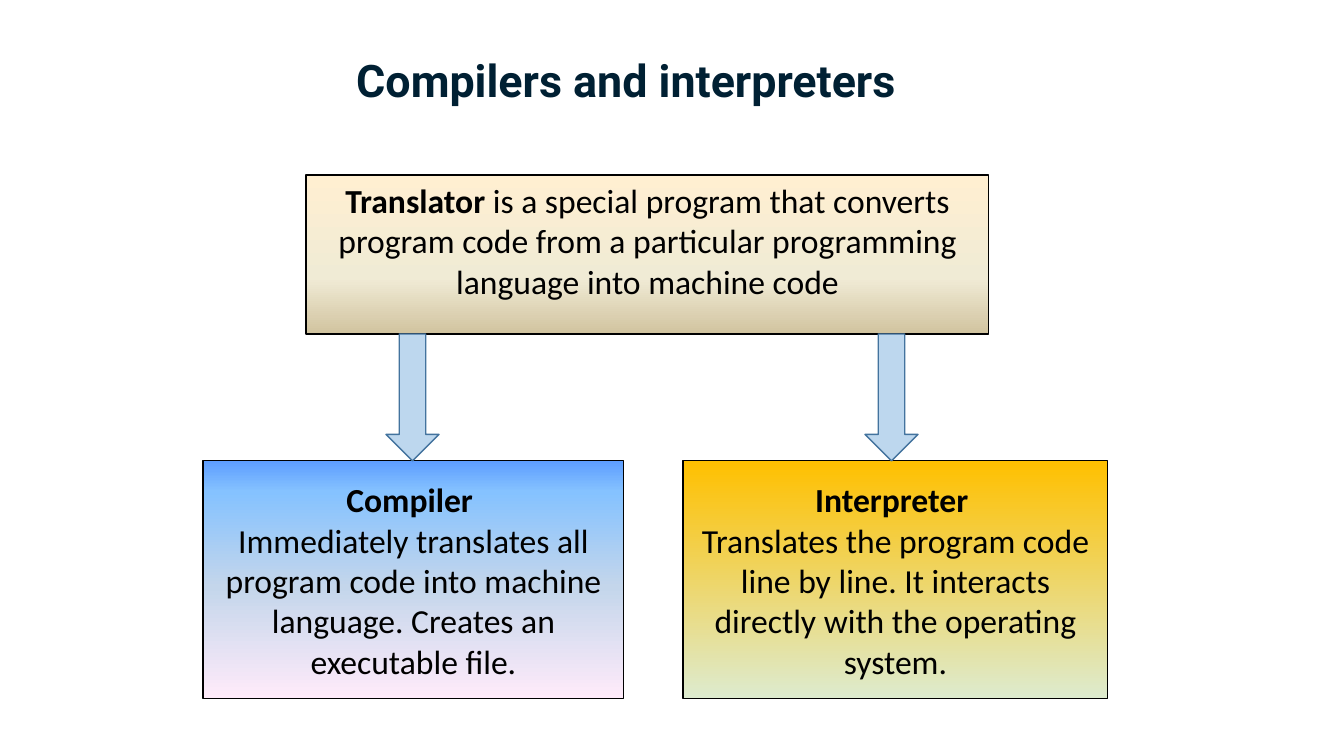
"""Builds the slide on compilers and interpreters."""
from lxml.etree import SubElement
from pptx import Presentation
from pptx.dml.color import RGBColor
from pptx.enum.shapes import MSO_SHAPE
from pptx.enum.text import MSO_ANCHOR, MSO_AUTO_SIZE, PP_ALIGN
from pptx.oxml.ns import qn
from pptx.util import Pt

PX = 914400 / 100.8
COLORS = {"title": "002033", "text": "000000", "border": "000000",
          "arrow": "BDD7EE", "arrow_line": "43739E"}
TITLE = "Compilers and interpreters"
TITLE_BOX = (346, 48, 644, 65)
CARDS = [
    {"box": (306, 175, 683, 159), "anchor": MSO_ANCHOR.TOP, "angle": 270,
     "stops": [(0, "FFEFD1"), (65, "F0EBD5"), (100, "D1C39F")],
     "text": [[("Translator", True),
               (" is a special program that converts program code from a "
                "particular programming language into machine code", False)]]},
    {"box": (203, 461, 421, 238), "anchor": MSO_ANCHOR.MIDDLE, "angle": 270,
     "stops": [(0, "5E9EFF"), (13, "85C2FF"), (53, "C4D6EB"), (100, "FFEBFA")],
     "text": [[("Compiler ", True)],
              [("Immediately translates all program code into machine "
                "language. Creates an executable file.", False)]]},
    {"box": (683, 461, 425, 238), "anchor": MSO_ANCHOR.MIDDLE, "angle": 90,
     "stops": [(0, "DDEBCF"), (100, "FFC000"), (100, "156B13")],
     "text": [[("Interpreter ", True)],
              [("Translates the program code line by line. It interacts "
                "directly with the operating system.", False)]]},
]
ARROW_LEFTS = (386, 865)
ARROW_WIDTH = 53


def rgb(name):
    return RGBColor.from_string(COLORS[name])


def emu(box):
    return [round(v * PX) for v in box]


def write(tf, paragraphs, *, font="Calibri", size=24, color="text",
          align=PP_ALIGN.CENTER, anchor=MSO_ANCHOR.TOP):
    tf.word_wrap = True
    tf.auto_size = MSO_AUTO_SIZE.NONE
    tf.vertical_anchor = anchor
    for i, runs in enumerate(paragraphs):
        p = tf.add_paragraph() if i else tf.paragraphs[0]
        p.alignment = align
        for text, bold in runs:
            r = p.add_run()
            r.text = text
            r.font.name, r.font.size, r.font.bold = font, Pt(size), bold
            r.font.color.rgb = rgb(color)


def add_shape(s, kind, box, line, width):
    sp = s.shapes.add_shape(kind, *emu(box))
    sp.shadow.inherit = False
    sp.line.color.rgb = rgb(line)
    sp.line.width = Pt(width)
    return sp


def fill_gradient(sp, stops, angle):
    sp.fill.gradient()
    sp.fill.gradient_angle = angle
    stop_list = sp.element.spPr.find(qn("a:gradFill")).find(qn("a:gsLst"))
    for old in list(stop_list):
        stop_list.remove(old)
    for percent, color in stops:
        stop = SubElement(stop_list, qn("a:gs"), pos=str(percent * 1000))
        SubElement(stop, qn("a:srgbClr"), val=color)


def main():
    prs = Presentation()
    prs.slide_width, prs.slide_height = emu((1344, 756))
    s = prs.slides.add_slide(prs.slide_layouts[5])

    for card in CARDS:
        sp = add_shape(s, MSO_SHAPE.RECTANGLE, card["box"], "border", 0.75)
        fill_gradient(sp, card["stops"], card["angle"])
        write(sp.text_frame, card["text"], anchor=card["anchor"])

    _, top, _, height = CARDS[0]["box"]
    arrow_top = top + height
    arrow_height = CARDS[1]["box"][1] - arrow_top
    for left in ARROW_LEFTS:
        box = (left, arrow_top, ARROW_WIDTH, arrow_height)
        sp = add_shape(s, MSO_SHAPE.DOWN_ARROW, box, "arrow_line", 1)
        sp.fill.solid()
        sp.fill.fore_color.rgb = rgb("arrow")

    title = s.shapes.title
    title.left, title.top, title.width, title.height = emu(TITLE_BOX)
    write(title.text_frame, [[(TITLE, True)]], font="Roboto", size=32,
          color="title", align=PP_ALIGN.LEFT)
    prs.save("out.pptx")


if __name__ == "__main__":
    main()
